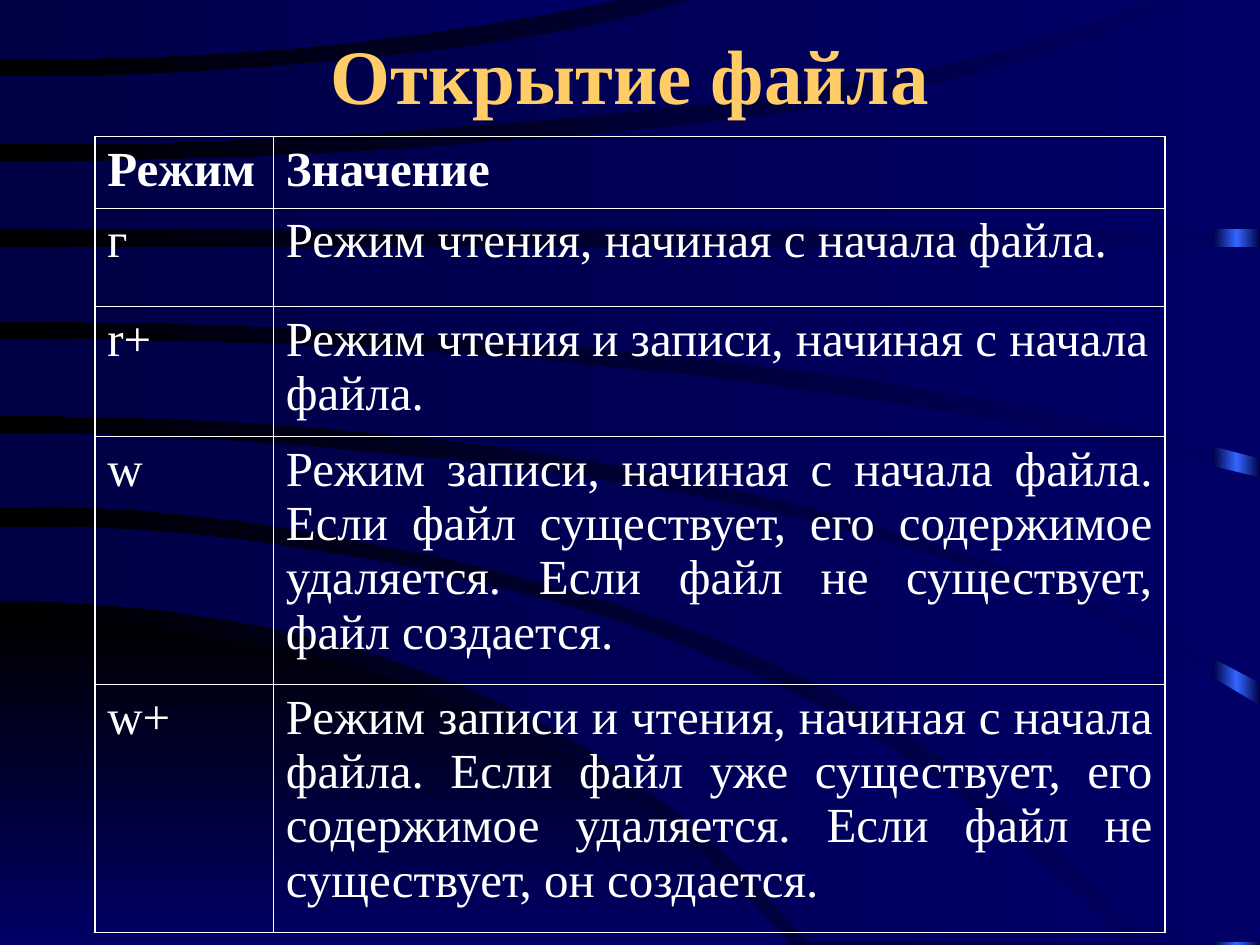
from copy import deepcopy
from math import prod

from lxml.etree import SubElement
from pptx import Presentation
from pptx.dml.color import RGBColor
from pptx.enum.shapes import MSO_SHAPE
from pptx.enum.text import MSO_ANCHOR, PP_ALIGN
from pptx.oxml.ns import qn
from pptx.util import Cm, Pt

FONT = "Times New Roman"
WHITE, GOLD = "FFFFFF", "FFCC66"
NAVY, DEEP, BLUE, BLACK = "000066", "000044", "3366FF", "000000"

TITLE = "Открытие файла"
MODES = [  # mode, meaning, row height in cm
    ("Режим", "Значение", 1.44),
    ("г", "Режим чтения, начиная с начала файла.", 1.98),
    ("r+", "Режим чтения и записи, начиная с начала файла.", 2.62),
    ("w", "Режим записи, начиная с начала файла. Если файл существует, "
          "его содержимое удаляется. Если файл не существует, файл создается.", 5.0),
    ("w+", "Режим записи и чтения, начиная с начала файла. Если файл уже существует, "
           "его содержимое удаляется. Если файл не существует, он создается.", 5.0),
]
LEFT_ALIGNED_ROWS = (1, 2)
COLUMN_WIDTHS = (3.6, 17.98)

# Waves: (right end, heights at equal steps) of the top and bottom edge, in
# units of UNIT, then the corners that join the edges at the right
UNIT = Cm(0.0254)
EDGE_STEPS = 24
CORNER_WAVE = ((628, (491, 504, 540, 613, 750)), (628, (750, 750)), [])
WAVES = [
    ((893, (418, 433, 480, 572, 748)), (642, (477, 489, 527, 604, 748)), []),
    ((1000, (344, 355, 385, 444, 560)), (909, (403, 419, 469, 560, 748)), [(1000, 748)]),
    ((1000, (269, 275, 293, 327, 379)), (1000, (330, 339, 371, 434, 542)), []),
    ((1000, (196, 196)), (1000, (255, 261, 279, 311, 364)), []),
    ((940, (128, 123, 107, 75, 0)), (1000, (182, 182)), [(1000, 0)]),
    ((548, (61, 58, 48, 31, 0)), (913, (114, 109, 93, 64, 0)), []),
    ((491, (0, 0)), (491, (47, 45, 37, 22, 0)), []),
]


def rgb(color):
    return RGBColor.from_string(color)


def set_gradient(fill, first, last, angle=180):
    fill.gradient()
    fill.gradient_angle = angle
    for stop, position, color in zip(fill.gradient_stops, (0, 1), (first, last)):
        stop.position = position
        stop.color.rgb = rgb(color)


def edge_points(right, heights):
    """Sample the polynomial that passes through the evenly spaced heights."""
    knots = range(len(heights))

    def height_at(t):
        return sum(y * prod((t - j) / (i - j) for j in knots if j != i)
                   for i, y in enumerate(heights))

    return [(right * s / EDGE_STEPS, height_at(s / EDGE_STEPS * knots[-1]))
            for s in range(EDGE_STEPS + 1)]


def add_wave(wave, first, last, angle=180):
    top, bottom, corners = wave
    points = edge_points(*top) + corners + edge_points(*bottom)[::-1]
    builder = slide.shapes.build_freeform(*points[0], scale=UNIT)
    builder.add_line_segments(points[1:], close=True)
    shape = builder.convert_to_shape()
    shape.shadow.inherit = False
    set_gradient(shape.fill, first, last, angle)
    shape.line.fill.background()


def format_text(paragraph, size, color, bold, align):
    paragraph.alignment = align
    for run in paragraph.runs:
        run.font.name, run.font.size, run.font.bold = FONT, Pt(size), bold
        run.font.color.rgb = rgb(color)


def set_border(cell, side, width):
    line = SubElement(cell._tc.get_or_add_tcPr(), qn(f"a:ln{side}"), w=str(Pt(width)))
    fill = SubElement(line, qn("a:solidFill"))
    SubElement(fill, qn("a:srgbClr"), val=WHITE)


presentation = Presentation()
presentation.slide_width, presentation.slide_height = Cm(25.4), Cm(19.05)
slide = presentation.slides.add_slide(presentation.slide_layouts[6])

# Background with a glowing strip behind the waves
set_gradient(slide.background.fill, NAVY, BLACK)
strip = slide.shapes.add_shape(MSO_SHAPE.RECTANGLE, Cm(24.46), 0, Cm(0.94), Cm(19.05))
strip.shadow.inherit = False
strip.line.fill.background()
set_gradient(strip.fill, DEEP, BLUE)
stops = strip._element.spPr.find(qn("a:gradFill")).find(qn("a:gsLst"))
stops.append(deepcopy(stops[0]))
stops[1].set("pos", "50000")
stops[2].set("pos", "100000")

add_wave(CORNER_WAVE, BLACK, NAVY, 270)
for wave in WAVES:
    add_wave(wave, NAVY, DEEP)

# Title
title = slide.shapes.add_textbox(Cm(1.9), Cm(0.43), Cm(21.6), Cm(2.1)).text_frame
title.word_wrap = True
title.vertical_anchor = MSO_ANCHOR.MIDDLE
title.text = TITLE
format_text(title.paragraphs[0], 44, GOLD, True, PP_ALIGN.CENTER)

# Table of file modes
heights = [height for _, _, height in MODES]
table = slide.shapes.add_table(len(MODES), 2, Cm(1.91), Cm(2.75),
                               Cm(sum(COLUMN_WIDTHS)), Cm(sum(heights))).table
table.first_row = table.horz_banding = False
for column, width in zip(table.columns, COLUMN_WIDTHS):
    column.width = Cm(width)
last_row = len(MODES) - 1
for r, (mode, meaning, height) in enumerate(MODES):
    table.rows[r].height = Cm(height)
    for c, text in enumerate((mode, meaning)):
        cell = table.cell(r, c)
        cell.text_frame.text = text
        left = c == 1 and r in LEFT_ALIGNED_ROWS
        format_text(cell.text_frame.paragraphs[0], 28, WHITE, r == 0,
                    PP_ALIGN.LEFT if left else PP_ALIGN.JUSTIFY)
        outer_sides = (("L", c == 0), ("R", c == 1), ("T", r == 0), ("B", r == last_row))
        for side, outer in outer_sides:
            set_border(cell, side, 1.08 if outer else 0.45)
        cell.fill.background()

presentation.save("out.pptx")
